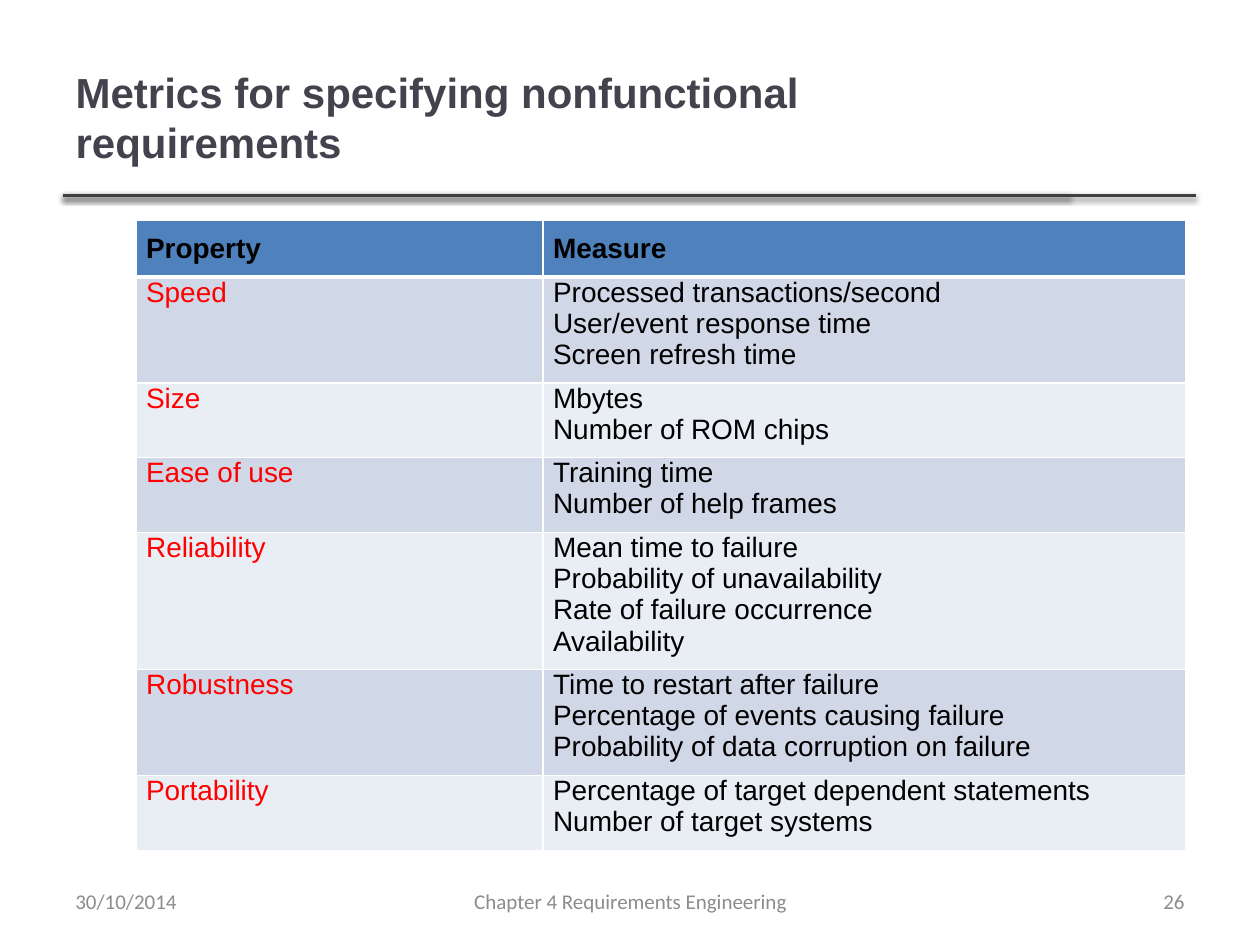
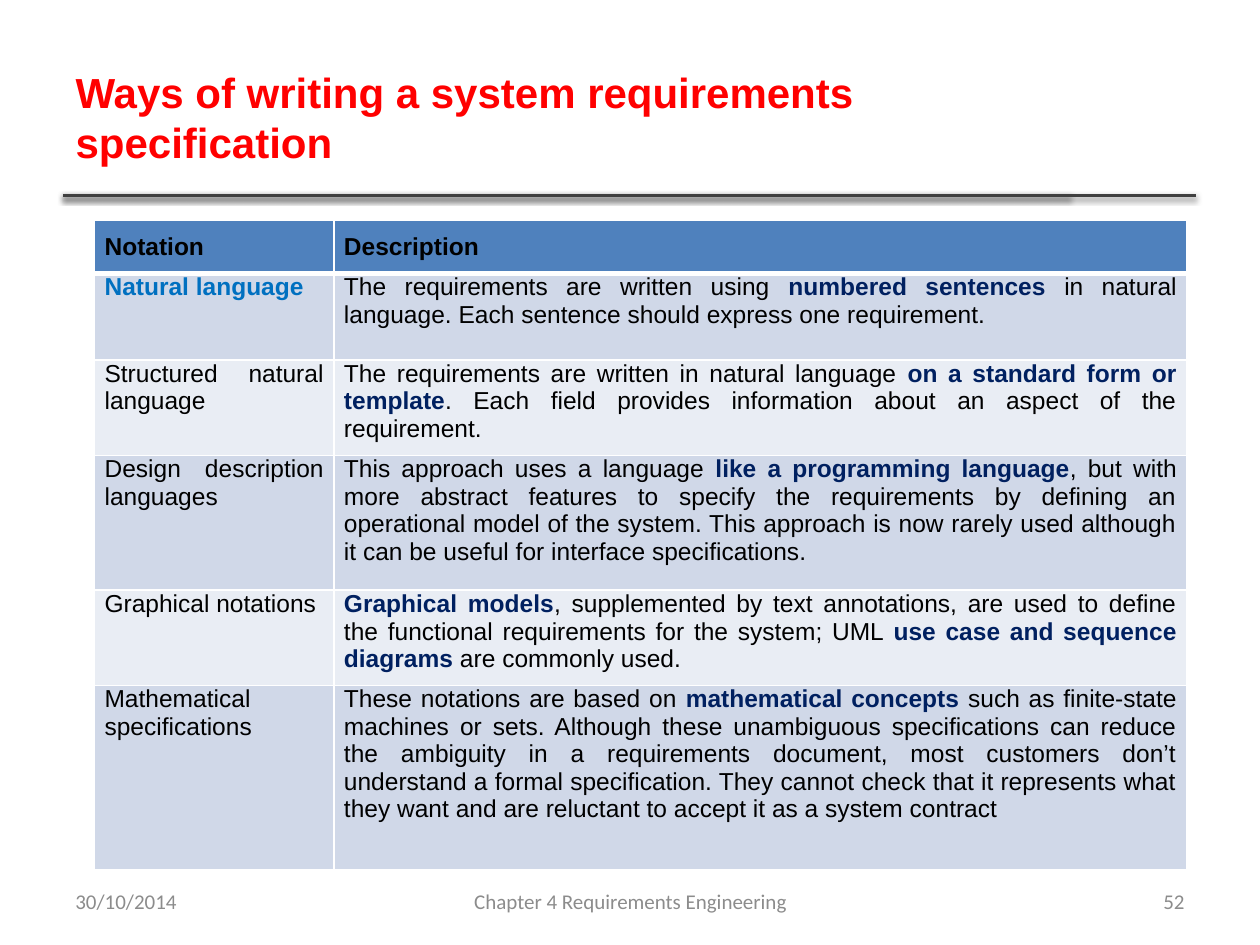
from dataclasses import dataclass

from lxml import etree
from pptx import Presentation
from pptx.dml.color import RGBColor
from pptx.enum.text import MSO_ANCHOR as Anchor, PP_ALIGN as Align
from pptx.oxml.ns import qn
from pptx.slide import Slide
from pptx.table import _Cell as Cell
from pptx.text.text import _Paragraph as Paragraph
from pptx.util import Inches, Pt

COLOURS = {
    "background": "FFFFFF", "border": "FFFFFF", "text": "000000",
    "title": "46424D", "red": "FF0000", "blue": "0070C0", "navy": "002060",
    "header": "4F81BD", "odd row": "D0D8E8", "even row": "E9EDF4",
    "rule": "404040", "footer": "8C8C8C", "shadow": "000000",
}
RULE_ENDS = (8.49, 9.49)
EMPHASIS = "**"


@dataclass
class Row:
    label: str
    details: tuple[str, ...]
    height: float
    label_colour: str = "text"
    label_bold: bool = False


@dataclass
class TableSlide:
    title: str
    title_colour: str
    number: int
    left: float
    top: float
    columns: tuple[float, float]
    text_size: int
    rows: list[Row]


@dataclass
class Footer:
    text: str
    left: float
    width: float
    align: Align


METRICS = TableSlide(
    "Metrics for specifying nonfunctional requirements", "title", 26,
    1.08, 1.75, (3.23, 5.1), 16,
    [
        Row("Property", ("Measure",), 0.43, label_bold=True),
        Row("Speed", ("Processed transactions/second", "User/event response time",
                      "Screen refresh time"), 0.75, "red"),
        Row("Size", ("Mbytes", "Number of ROM chips"), 0.53, "red"),
        Row("Ease of use", ("Training time", "Number of help frames"), 0.53, "red"),
        Row("Reliability", ("Mean time to failure", "Probability of unavailability",
                            "Rate of failure occurrence", "Availability"), 0.96, "red"),
        Row("Robustness", ("Time to restart after failure",
                           "Percentage of events causing failure",
                           "Probability of data corruption on failure"), 0.75, "red"),
        Row("Portability", ("Percentage of target dependent statements",
                            "Number of target systems"), 0.53, "red"),
    ],
)

NOTATIONS = TableSlide(
    "Ways of writing a system requirements specification", "red", 52,
    0.75, 1.75, (1.9, 6.77), 14,
    [
        Row("Notation", ("Description",), 0.4, label_bold=True),
        Row("Natural language", (
            "The requirements are written using **numbered sentences **in natural "
            "language. Each sentence should express one requirement.",), 0.69, "blue", True),
        Row("Structured natural language", (
            "The requirements are written in natural language **on a standard form or "
            "template**. Each field provides information about an aspect of the "
            "requirement.",), 0.69),
        Row("Design description languages", (
            "This approach uses a language **like a programming language**, but with more "
            "abstract features to specify the requirements by defining an operational "
            "model of the system. This approach is now rarely used although it can be "
            "useful for interface specifications.",), 1.07),
        Row("Graphical notations", (
            "**Graphical models**, supplemented by text annotations, are used to define "
            "the functional requirements for the system; UML **use case and sequence "
            "diagrams** are commonly used.",), 0.69),
        Row("Mathematical specifications", (
            "These notations are based on **mathematical concepts **such as finite-state "
            "machines or sets. Although these unambiguous specifications can reduce the "
            "ambiguity in a requirements document, most customers don’t understand a "
            "formal specification. They cannot check that it represents what they want "
            "and are reluctant to accept it as a system contract",), 1.46),
    ],
)


def rgb(name: str) -> RGBColor:
    return RGBColor.from_string(COLOURS[name])


def set_font(para: Paragraph, name: str, size: int, colour: str, bold: bool = False) -> None:
    para.font.name = name
    para.font.size = Pt(size)
    para.font.bold = bold
    para.font.color.rgb = rgb(colour)


def add_colour(parent: etree._Element, colour: str) -> etree._Element:
    return etree.SubElement(parent, qn("a:srgbClr"), val=COLOURS[colour])


def add_rule(page: Slide, end: float) -> None:
    rule = page.shapes.add_connector(1, Inches(0.5), Inches(1.55), Inches(end), Inches(1.55))
    rule.line.color.rgb = rgb("rule")
    rule.line.width = Pt(2)
    effects = etree.SubElement(rule._element.spPr, qn("a:effectLst"))
    shadow = etree.SubElement(effects, qn("a:outerShdw"), blurRad=str(Pt(3.1)),
                              dist=str(Pt(1.6)), dir="5400000", rotWithShape="0")
    etree.SubElement(add_colour(shadow, "shadow"), qn("a:alpha"), val="38000")


def add_title(page: Slide, text: str, colour: str) -> None:
    title = page.shapes.title
    title.left, title.top = Inches(0.5), Inches(0.3)
    title.width, title.height = Inches(7.98), Inches(1.25)
    title.text_frame.text = text
    title.text_frame.vertical_anchor = Anchor.MIDDLE
    para = title.text_frame.paragraphs[0]
    para.alignment = Align.LEFT
    set_font(para, "Arial", 24, colour, bold=True)


def add_footer(page: Slide, footer: Footer) -> None:
    box = page.shapes.add_textbox(Inches(footer.left), Inches(6.95),
                                  Inches(footer.width), Inches(0.4))
    frame = box.text_frame
    frame.word_wrap = True
    frame.vertical_anchor = Anchor.MIDDLE
    frame.text = footer.text
    para = frame.paragraphs[0]
    para.alignment = footer.align
    set_font(para, "Calibri", 12, footer_colour := "footer")


def set_borders(cell: Cell, top: int, bottom: int) -> None:
    properties = cell._tc.get_or_add_tcPr()
    for side, width in (("L", 1), ("R", 1), ("T", top), ("B", bottom)):
        line = etree.SubElement(properties, qn(f"a:ln{side}"), w=str(Pt(width)))
        add_colour(etree.SubElement(line, qn("a:solidFill")), "border")


def fill_cell(cell: Cell, lines: tuple[str, ...], size: int, colour: str, bold: bool) -> None:
    """Write one paragraph per line; text between ** marks is bold navy."""
    for index, line in enumerate(lines):
        frame = cell.text_frame
        para = frame.add_paragraph() if index else frame.paragraphs[0]
        para.alignment = Align.JUSTIFY
        set_font(para, "Arial", size, colour, bold)
        for position, text in enumerate(line.split(EMPHASIS)):
            if not text:
                continue
            span = para.add_run()
            span.text = text
            if position % 2:
                span.font.bold = True
                span.font.color.rgb = rgb("navy")


def add_table(page: Slide, content: TableSlide) -> None:
    rows = content.rows
    table = page.shapes.add_table(
        len(rows), 2, Inches(content.left), Inches(content.top),
        Inches(sum(content.columns)), Inches(sum(row.height for row in rows))).table
    for column, width in zip(table.columns, content.columns):
        column.width = Inches(width)
    for index, row in enumerate(rows):
        is_header = index == 0
        table.rows[index].height = Inches(row.height)
        fill = "header" if is_header else "odd row" if index % 2 else "even row"
        label, details = table.rows[index].cells
        fill_cell(label, (row.label,), content.text_size, row.label_colour, row.label_bold)
        fill_cell(details, row.details, content.text_size, "text", is_header)
        for cell in (label, details):
            cell.margin_left = cell.margin_right = Inches(0.08)
            cell.margin_top = Inches(0.1 if is_header else 0)
            cell.margin_bottom = Inches(0.1)
            set_borders(cell, 3 if index == 1 else 1, 3 if is_header else 1)
            cell.fill.solid()
            cell.fill.fore_color.rgb = rgb(fill)


def main() -> None:
    deck = Presentation()
    deck.slide_width, deck.slide_height = Inches(10), Inches(7.5)
    master_fill = deck.slide_master.background.fill
    master_fill.solid()
    master_fill.fore_color.rgb = rgb("background")
    for content in (METRICS, NOTATIONS):
        page = deck.slides.add_slide(deck.slide_layouts.get_by_name("Title Only"))
        for end in RULE_ENDS:
            add_rule(page, end)
        add_title(page, content.title, content.title_colour)
        add_table(page, content)
        for footer in (
            Footer("30/10/2014", 0.5, 2.33, Align.LEFT),
            Footer("Chapter 4 Requirements Engineering", 3.42, 3.17, Align.CENTER),
            Footer(str(content.number), 7.17, 2.33, Align.RIGHT),
        ):
            add_footer(page, footer)
    deck.save("out.pptx")


if __name__ == "__main__":
    main()
